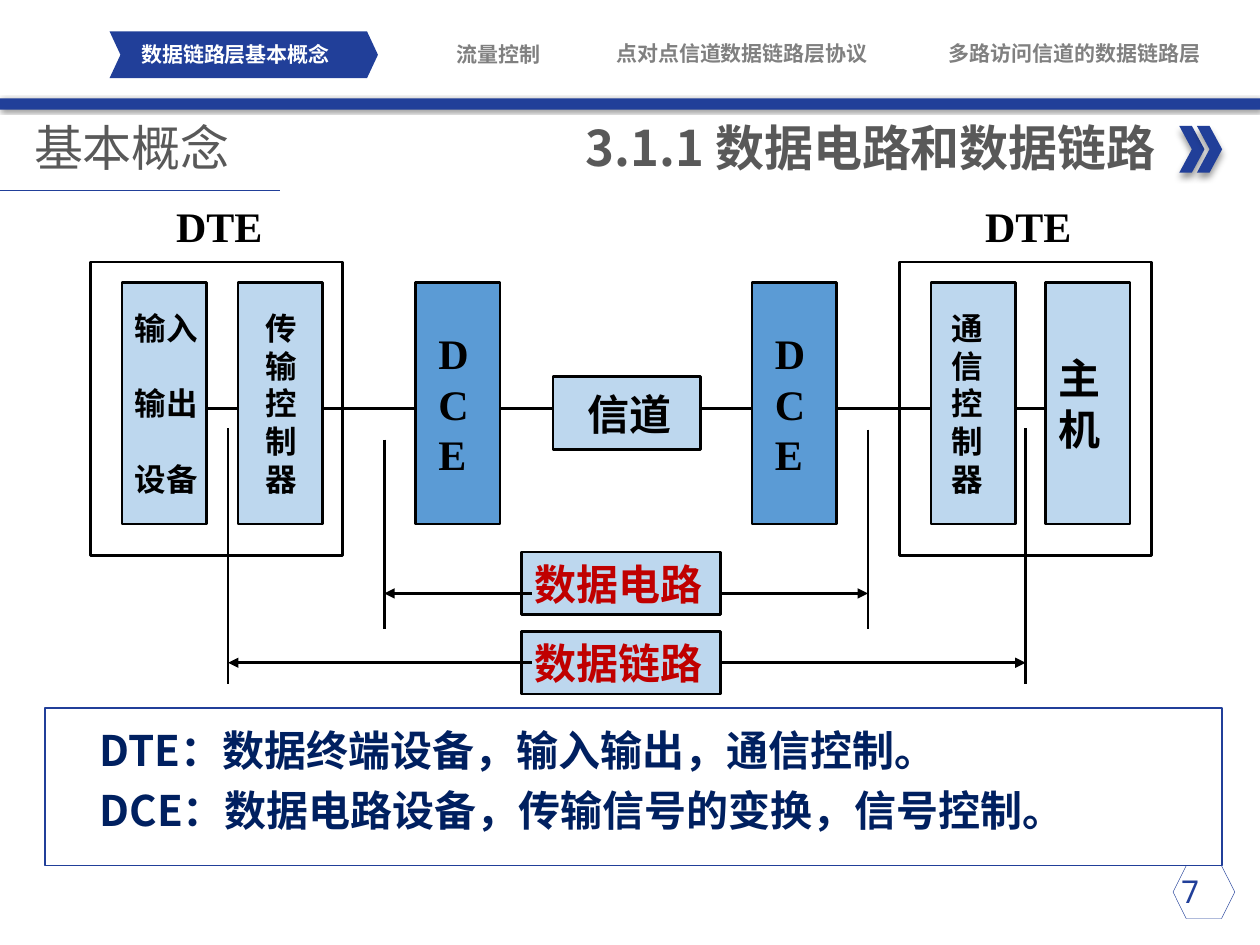
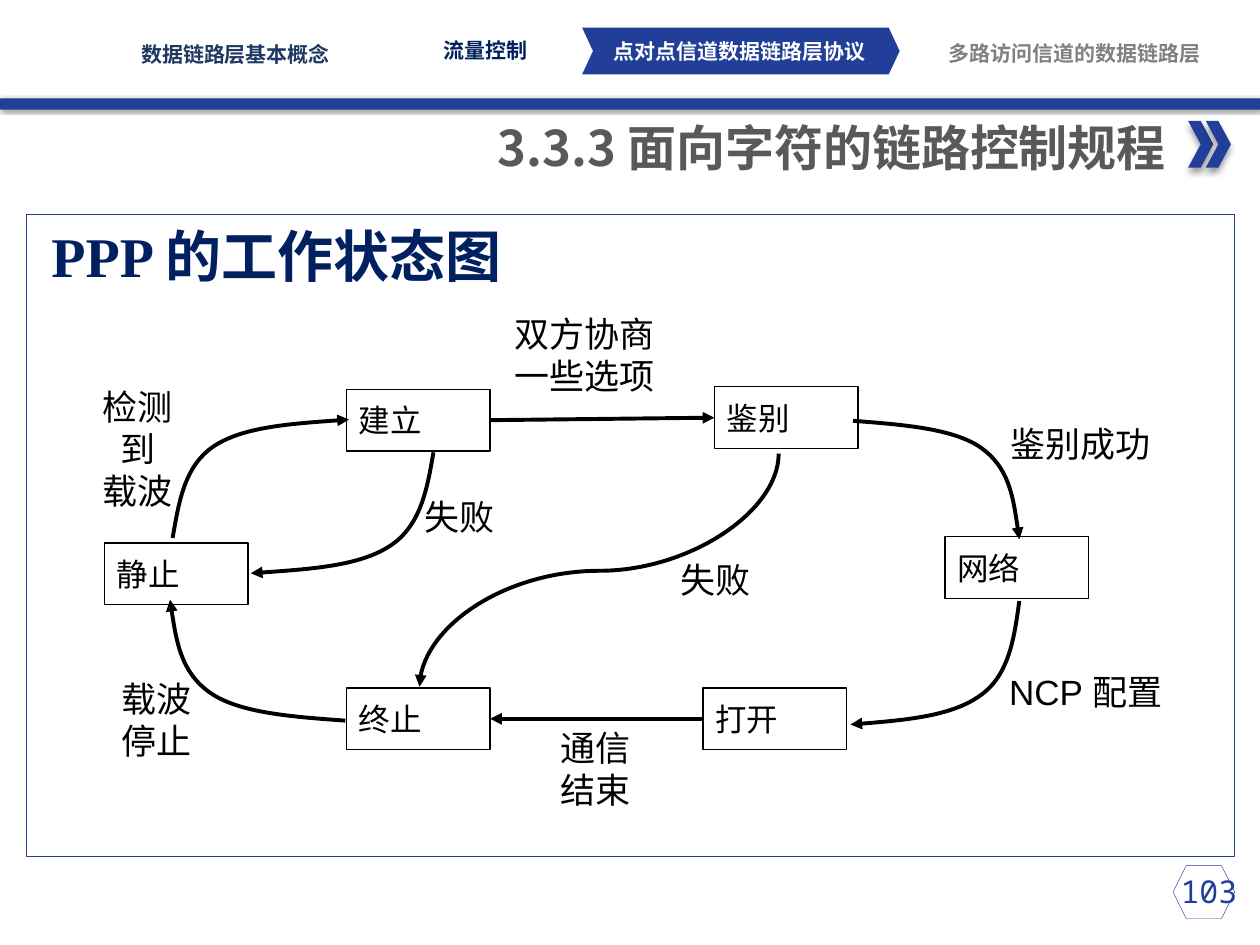
from itertools import pairwise

from lxml import etree
from pptx import Presentation
from pptx import util as u
from pptx.dml.color import RGBColor
from pptx.enum import shapes, text
from pptx.oxml.ns import qn

SHAPE, ALIGN, ANCHOR = shapes.MSO_SHAPE, text.PP_ALIGN, text.MSO_ANCHOR
BLUE, NAVY, GREY, DIM = "213F99", "002060", "595959", "808080"
BLACK, WHITE, RED, PALE, MID = "000000", "FFFFFF", "C00000", "BDD7EE", "5B9BD5"
SANS, SERIF, MONO, NAV_FONT = "Noto Sans CJK SC", "Times New Roman", "Noto Sans Mono", "Roboto Condensed"

NAV = ["数据链路层基本概念", "流量控制", "点对点信道数据链路层协议", "多路访问信道的数据链路层"]

# Per slide: navigation label centres with colours, then the active tab
CONCEPTS = dict(
    nav=[(1.87, 0.43, WHITE), (3.96, 0.43, DIM), (5.89, 0.42, DIM), (8.53, 0.42, DIM)],
    tab=(0.87, 0.25, 2.13, 0.37), title=("3.1.1", "数据电路和数据链路", SANS),
    title_right=9.27, arrows=(9.36, 1), page="7")
PROTOCOLS = dict(
    nav=[(1.87, 0.43, "203864"), (3.85, 0.40, NAVY), (5.87, 0.41, WHITE), (8.53, 0.42, DIM)],
    tab=(4.62, 0.22, 2.52, 0.37), title=("3.3.3", "面向字符的链路控制规程", SERIF),
    title_right=9.35, arrows=(9.43, 0.96), page="103")

# Circuit, left to right: left, top, width, height, fill, text inset, size, lines, gap between lines
TALL = (0.67, 1.92)
CIRCUIT = [
    (0.97, 2.24, *TALL, PALE, 0.1, 18, ["输入", "输出", "设备"], 21.5),
    (1.89, 2.24, *TALL, PALE, 0.22, 18, "传输控制器", 0),
    (3.3, 2.24, *TALL, MID, 0.18, 24, "DCE", 0),
    (4.39, 2.99, 1.17, 0.58, PALE, 0.27, 24, ["信道"], 0),
    (5.97, 2.24, *TALL, MID, 0.18, 24, "DCE", 0),
    (7.39, 2.24, *TALL, PALE, 0.16, 18, "通信控制器", 0),
    (8.3, 2.24, *TALL, PALE, 0.1, 24, "主机", 0),
]
WIRE_Y = 3.24
TERMINALS = [0.72, 7.14]
# Label, box top, arrow height, left and right tick (x, top), tick bottom
SPANS = [
    ("数据电路", 4.38, 4.71, (3.05, 3.49), (6.89, 3.41), 4.99),
    ("数据链路", 5.01, 5.26, (1.81, 3.4), (8.14, 3.4), 5.43),
]
DEFINITIONS = ["DTE：数据终端设备，输入输出，通信控制。", "DCE：数据电路设备，传输信号的变换，信号控制。"]

STATES = {
    "建立": (2.75, 3.09, "Arial"), "鉴别": (5.67, 3.07, "Calibri"), "网络": (7.5, 4.26, "Calibri"),
    "打开": (5.58, 5.46, "Calibri"), "终止": (2.75, 5.46, "Calibri"), "静止": (0.83, 4.31, "Calibri"),
}
# From, side, to, side
STRAIGHT = [("建立", 3, "鉴别", 1), ("打开", 1, "终止", 3)]
# Start, then control, control, end for each Bézier piece
CURVES = [
    [(1.37, 4.27), (1.42, 3.99), (1.46, 3.7), (1.7, 3.54), (1.93, 3.39), (2.35, 3.36), (2.77, 3.33)],
    [(6.77, 3.34), (7.16, 3.37), (7.56, 3.4), (7.78, 3.55), (8.01, 3.71), (8.05, 4), (8.09, 4.28)],
    [(8.09, 4.77), (8.05, 5.06), (8.01, 5.36), (7.78, 5.52), (7.56, 5.68), (7.15, 5.72), (6.75, 5.75)],
    [(2.74, 5.72), (2.32, 5.69), (1.9, 5.66), (1.67, 5.5), (1.44, 5.34), (1.39, 5.05), (1.35, 4.76)],
    [(3.44, 3.59), (3.39, 3.88), (3.34, 4.17), (3.1, 4.33), (2.86, 4.49), (2.43, 4.52), (1.99, 4.55)],
    [(6.18, 3.6), (6.18, 4.06), (5.47, 4.53), (4.76, 4.53), (4.04, 4.53), (3.33, 4.99), (3.33, 5.45)],
]
LABELS = [
    (5.3, 4.38, 0.8, ["失败"]), (3.27, 3.88, 0.8, ["失败"]),
    (7.91, 5.27, 1.51, ["NCP 配置"]), (7.92, 3.3, 1.39, ["鉴别成功"]),
    (4.33, 5.72, 0.8, ["通信", "结束"]), (0.84, 5.33, 0.8, ["载波", "停止"]),
    (0.58, 3.01, 1.03, ["检测到", "载波"]), (3.94, 2.43, 1.4, ["双方协商", "一些选项"]),
]


def rgb(hex_color):
    return RGBColor.from_string(hex_color)


def inches(*values):
    return [u.Inches(v) for v in values]


def write(sp, lines, size, color, font=None, bold=False, align=ALIGN.LEFT, anchor=ANCHOR.TOP,
          insets=(0.1, 0.05, 0.1, 0.05), wrap=True, spacing=None, gap=0):
    """Fill a shape with one paragraph per line; a line that is a list holds (text, font) runs."""
    tf = sp.text_frame
    tf.word_wrap, tf.vertical_anchor = wrap, anchor
    tf.margin_left, tf.margin_top, tf.margin_right, tf.margin_bottom = inches(*insets)
    for i, line in enumerate(lines):
        p = tf.paragraphs[0] if i == 0 else tf.add_paragraph()
        p.alignment, p.line_spacing = align, spacing
        if i and gap:
            p.space_before = u.Pt(gap)
        p.font.size, p.font.bold, p.font.color.rgb = u.Pt(size), bold, rgb(color)
        if isinstance(line, str):
            p.font.name = font
            p.add_run().text = line
        else:
            for run_text, run_font in line:
                r = p.add_run()
                r.text, r.font.name = run_text, run_font


def add_text(s, at, lines, size, color, font, **style):
    write(s.shapes.add_textbox(*inches(*at)), lines, size, color, font, **style)


def add_box(s, at, fill=None, line=None, width=1.5, kind=SHAPE.RECTANGLE):
    sp = s.shapes.add_shape(kind, *inches(*at))
    sp.shadow.inherit = False
    if fill:
        sp.fill.solid()
        sp.fill.fore_color.rgb = rgb(fill)
    else:
        sp.fill.background()
    if line:
        sp.line.color.rgb, sp.line.width = rgb(line), u.Pt(width)
    else:
        sp.line.fill.background()
    return sp


def cast_shadow(sp, blur, dist, angle):
    effects = sp._element.spPr.find(qn("a:effectLst"))
    outer = etree.SubElement(effects, qn("a:outerShdw"), blurRad=str(u.Pt(blur)),
                             dist=str(u.Pt(dist)), dir=str(angle * 60000), rotWithShape="0")
    color = etree.SubElement(outer, qn("a:srgbClr"), val=BLACK)
    etree.SubElement(color, qn("a:alpha"), val="40000")


def stroke(sp, color, width, arrow):
    sp.line.color.rgb, sp.line.width = rgb(color), u.Pt(width)
    if arrow:
        etree.SubElement(sp._element.spPr.find(qn("a:ln")), qn("a:tailEnd"), type="triangle")


def add_line(s, start, end, color=BLACK, width=1.5, arrow=False):
    c = s.shapes.add_connector(shapes.MSO_CONNECTOR.STRAIGHT, *inches(*start, *end))
    stroke(c, color, width, arrow)
    etree.SubElement(c._element.spPr, qn("a:effectLst"))
    return c


def add_curve(s, points):
    """Draw an arrow along cubic Béziers, by regrouping the segments of a freeform in threes."""
    start, *rest = [inches(*pt) for pt in points]
    builder = s.shapes.build_freeform(*start)
    builder.add_line_segments(rest, close=False)
    sp = builder.convert_to_shape()
    sp.shadow.inherit = False
    sp.fill.background()
    segments = list(sp._element.iter(qn("a:lnTo")))
    outline = segments[0].getparent()
    for i in range(0, len(segments), 3):
        bezier = etree.SubElement(outline, qn("a:cubicBezTo"))
        for segment in segments[i:i + 3]:
            bezier.append(segment[0])
            outline.remove(segment)
    stroke(sp, BLACK, 2.25, True)


def add_frame(prs, nav, tab, title, title_right, arrows, page):
    """Add a slide with the navigation, band, title and page number."""
    s = prs.slides.add_slide(prs.slide_layouts[6])
    cast_shadow(add_box(s, (0, 0.78, 10, 0.09), BLUE), 2, 1, 45)
    add_box(s, (9.31, 6.87, 0.49, 0.42), line=BLUE, width=0.25, kind=SHAPE.HEXAGON)
    add_text(s, (9.09, 6.87, 0.87, 0.4), [page], 18, BLUE, MONO, insets=(0.28, 0.05, 0, 0.05))
    x, y = arrows
    for i in range(2):
        arrow = add_box(s, (x + i * 0.14, y, 0.2, 0.37), BLUE, kind=SHAPE.CHEVRON)
        cast_shadow(arrow, 4, 3, 90)
    number, heading, font = title
    add_text(s, (0.76, 0.88, title_right - 0.76, 0.57), [[(number + " ", SANS), (heading, font)]],
             28, GREY, None, bold=True, align=ALIGN.RIGHT)
    add_box(s, tab, BLUE, kind=SHAPE.CHEVRON).adjustments[0] = 0.234
    for label, (cx, cy, color) in zip(NAV, nav):
        width = len(label) / 6 + 0.2
        add_text(s, (cx - width / 2, cy - 0.1, width, 0.2), [label], 12, color, NAV_FONT, bold=True,
                 align=ALIGN.CENTER, anchor=ANCHOR.MIDDLE, insets=(0, 0, 0, 0))
    return s


def build_concepts(prs):
    s = add_frame(prs, **CONCEPTS)
    add_line(s, (0, 1.51), (2.22, 1.51), BLUE, 0.5)
    add_text(s, (0, 0.92, 2.59, 0.49), ["基本概念"], 28, GREY, SANS, anchor=ANCHOR.MIDDLE,
             insets=(0.27, 0.05, 0.1, 0.05))
    add_box(s, (0.36, 5.62, 9.34, 1.25), line=BLUE, width=1)
    add_text(s, (0.53, 5.62, 9.01, 1.11), DEFINITIONS, 24, NAVY, SANS, bold=True, spacing=1.2,
             insets=(0.26, 0.05, 0.1, 0.05))

    for x in TERMINALS:
        add_box(s, (x, 2.08, 2, 2.33), line=BLACK)
        label = add_box(s, (x + 0.58, 1.54, 1.03, 0.5), WHITE, WHITE)
        write(label, ["DTE"], 24, BLACK, SERIF, bold=True)
    for x, y, w, h, fill, inset, size, lines, gap in CIRCUIT:
        write(add_box(s, (x, y, w, h), fill, BLACK), lines, size, BLACK, SERIF, bold=True,
              anchor=ANCHOR.MIDDLE, insets=(inset, 0.05, 0, 0.05), wrap=False, gap=gap)
    for a, b in pairwise(CIRCUIT):
        add_line(s, (a[0] + a[2], WIRE_Y), (b[0], WIRE_Y))

    for label, top, y, left, right, bottom in SPANS:
        write(add_box(s, (4.14, top, 1.58, 0.5), PALE, BLACK), [label], 24, RED, SERIF,
              bold=True, wrap=False)
        for tick, inner in ((left, 4.22), (right, 5.72)):
            add_line(s, tick, (tick[0], bottom))
            add_line(s, (inner, y), (tick[0], y), arrow=True)


def build_state_diagram(prs):
    s = add_frame(prs, **PROTOCOLS)
    add_box(s, (0.21, 1.7, 9.59, 5.1), line=BLUE, width=0.75)
    add_text(s, (0.31, 1.71, 9.29, 0.7), ["PPP 的工作状态图"], 32, NAVY, SERIF, bold=True)
    boxes = {}
    for name, (x, y, font) in STATES.items():
        boxes[name] = add_box(s, (x, y, 1.14, 0.49), line=BLACK, width=0.75)
        write(boxes[name], [name], 18, BLACK, font, anchor=ANCHOR.MIDDLE, wrap=False)
    for start, out, end, into in STRAIGHT:
        c = add_line(s, (0, 0), (1, 1), width=2.25, arrow=True)
        c.begin_connect(boxes[start], out)
        c.end_connect(boxes[end], into)
    for points in CURVES:
        add_curve(s, points)
    for x, y, w, lines in LABELS:
        align = ALIGN.CENTER if len(lines) > 1 else ALIGN.LEFT
        add_text(s, (x, y, w, 0.12 + 0.37 * len(lines)), lines, 20, BLACK, "Arial",
                 align=align, wrap=False)


def main():
    prs = Presentation()
    prs.slide_width, prs.slide_height = inches(10, 7.5)
    build_concepts(prs)
    build_state_diagram(prs)
    prs.save("out.pptx")


if __name__ == "__main__":
    main()
